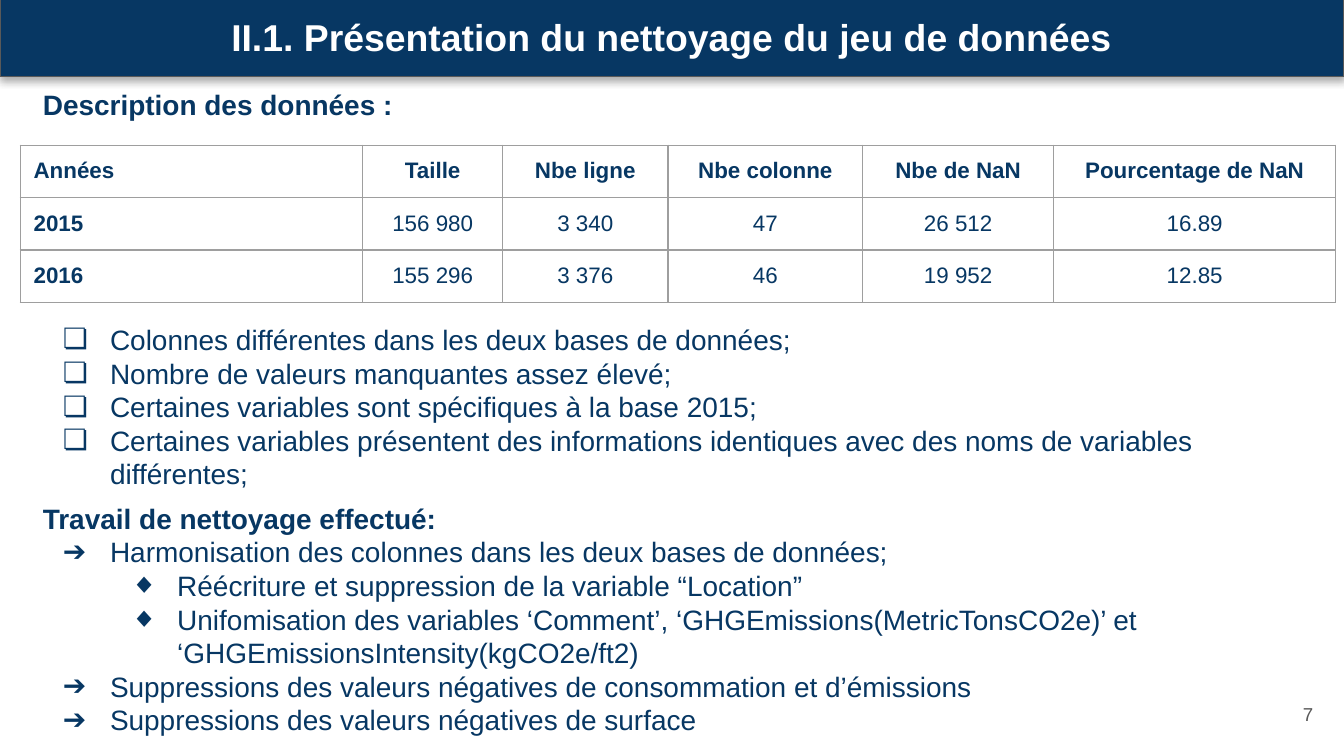
from lxml import etree
from pptx import Presentation
from pptx.dml.color import RGBColor
from pptx.enum.shapes import MSO_SHAPE
from pptx.enum.text import MSO_ANCHOR, PP_ALIGN
from pptx.oxml.ns import qn
from pptx.util import Inches, Pt

RECT = MSO_SHAPE.RECTANGLE
TOP, MIDDLE = MSO_ANCHOR.TOP, MSO_ANCHOR.MIDDLE
LEFT, CENTER, RIGHT = PP_ALIGN.LEFT, PP_ALIGN.CENTER, PP_ALIGN.RIGHT

COLORS = {"navy": "073763", "white": "FFFFFF", "gray": "595959", "rule": "9E9E9E"}
FONT = "Arial"
PAD = Inches(0.1)

HEADS = ["Années", "Taille", "Nbe ligne", "Nbe colonne", "Nbe de NaN",
         "Pourcentage de NaN"]
ROWS = [
    HEADS,
    ["2015", "156 980", "3 340", "47", "26 512", "16.89"],
    ["2016", "155 296", "3 376", "46", "19 952", "12.85"],
]
WIDTHS = [2.55, 1.04, 1.23, 1.45, 1.42, 2.1]

# Each line: text, bullet level (0 is a heading)
ISSUES = [
    ("Colonnes différentes dans les deux bases de données;", 1),
    ("Nombre de valeurs manquantes assez élevé;", 1),
    ("Certaines variables sont spécifiques à la base 2015;", 1),
    ("Certaines variables présentent des informations identiques "
     "avec des noms de variables différentes;", 1),
]
TASKS = [
    ("Travail de nettoyage effectué:", 0),
    ("Harmonisation des colonnes dans les deux bases de données;", 1),
    ("Réécriture et suppression de la variable “Location”", 2),
    ("Unifomisation des variables ‘Comment’, ‘GHGEmissions(MetricTonsCO2e)’ et "
     "‘GHGEmissionsIntensity(kgCO2e/ft2)", 2),
    ("Suppressions des valeurs négatives de consommation et d’émissions", 1),
    ("Suppressions des valeurs négatives de surface", 1),
]


def rgb(name):
    return RGBColor.from_string(COLORS[name])


def add_node(parent, tag, **attrs):
    node = etree.SubElement(parent, qn(tag))
    for key, val in attrs.items():
        node.set(key, str(val))
    return node


def add_color(parent, name):
    return add_node(parent, "a:srgbClr", val=COLORS[name])


def write(para, text, size=15, color="navy", bold=False, align=LEFT):
    para.alignment = align
    run = para.add_run()
    run.text = text
    font = run.font
    font.name, font.size, font.bold = FONT, Pt(size), bold
    font.color.rgb = rgb(color)


def set_bullet(para, mark, level):
    para.level = level - 1
    props = para._p.get_or_add_pPr()
    props.set("marL", str(Inches(0.5 * level)))
    props.set("indent", str(Inches(-0.35)))
    add_color(add_node(props, "a:buClr"), "navy")
    add_node(props, "a:buFont", typeface=FONT)
    add_node(props, "a:buChar", char=mark)


def set_frame(frame, anchor=TOP):
    frame.word_wrap = True
    frame.vertical_anchor = anchor
    frame.margin_left = frame.margin_right = PAD
    frame.margin_top = frame.margin_bottom = PAD
    return frame


def add_box(slide, box, anchor=TOP):
    shape = slide.shapes.add_textbox(*map(Inches, box))
    return set_frame(shape.text_frame, anchor)


def add_shadow(shape):
    shape.shadow.inherit = False
    effects = shape._element.spPr.find(qn("a:effectLst"))
    outer = add_node(effects, "a:outerShdw", blurRad=Pt(4.5), dist=Pt(1.5),
                     dir=90 * 60000, algn="bl", rotWithShape=0)
    add_node(add_color(outer, "gray"), "a:alpha", val=50000)


def add_banner(slide, box, text):
    bar = slide.shapes.add_shape(RECT, *map(Inches, box))
    bar.fill.solid()
    bar.fill.fore_color.rgb = rgb("navy")
    bar.line.color.rgb = rgb("gray")
    bar.line.width = Pt(0.75)
    add_shadow(bar)
    frame = set_frame(bar.text_frame, MIDDLE)
    write(frame.paragraphs[0], text, size=20, color="white", bold=True, align=CENTER)


def add_label(slide, box, text, anchor=TOP, **style):
    write(add_box(slide, box, anchor).paragraphs[0], text, **style)


def add_list(slide, box, lines, marks):
    """Write headings and bullets; marks maps a level to its sign."""
    frame = add_box(slide, box)
    for i, (text, level) in enumerate(lines):
        para = frame.add_paragraph() if i else frame.paragraphs[0]
        write(para, text, bold=level == 0)
        if level:
            set_bullet(para, marks[level], level)


def set_borders(cell):
    props = cell._tc.get_or_add_tcPr()
    for side in "LRTB":
        line = add_node(props, f"a:ln{side}", w=Pt(0.75))
        add_color(add_node(line, "a:solidFill"), "rule")


def add_grid(slide, left, top, high=0.39):
    box = (left, top, sum(WIDTHS), high * len(ROWS))
    grid = slide.shapes.add_table(len(ROWS), len(WIDTHS), *map(Inches, box)).table
    grid.first_row = grid.horz_banding = False
    for col, wide in zip(grid.columns, WIDTHS):
        col.width = Inches(wide)
    for r, row in enumerate(ROWS):
        grid.rows[r].height = Inches(high)
        for c, text in enumerate(row):
            cell = grid.cell(r, c)
            cell.margin_left = cell.margin_right = cell.margin_top = PAD
            cell.margin_bottom = Inches(0.08)  # keeps the row at its set height
            set_borders(cell)
            cell.fill.background()
            write(cell.text_frame.paragraphs[0], text, size=12,
                  bold=r == 0 or c == 0, align=CENTER if c else LEFT)


def main():
    deck = Presentation()
    deck.slide_width = Inches(10)
    deck.slide_height = deck.slide_width * 9 // 16
    slide = deck.slides.add_slide(deck.slide_layouts[6])
    left, wide = 0.22, 9.65
    add_banner(slide, (0, -0.03, 10, 0.6),
               "II.1. Présentation du nettoyage du jeu de données")
    add_label(slide, (9.27, 5.1, 0.6, 0.43), "7", MIDDLE,
              size=10, color="gray", align=RIGHT)
    add_grid(slide, 0.15, 1.08)
    add_label(slide, (left, 0.55, wide, 0.43), "Description des données :", bold=True)
    add_list(slide, (left, 2.3, wide, 1.36), ISSUES, {1: "❏"})
    add_list(slide, (left, 3.63, wide, 1.9), TASKS, {1: "➔", 2: "◆"})
    deck.save("out.pptx")


if __name__ == "__main__":
    main()
